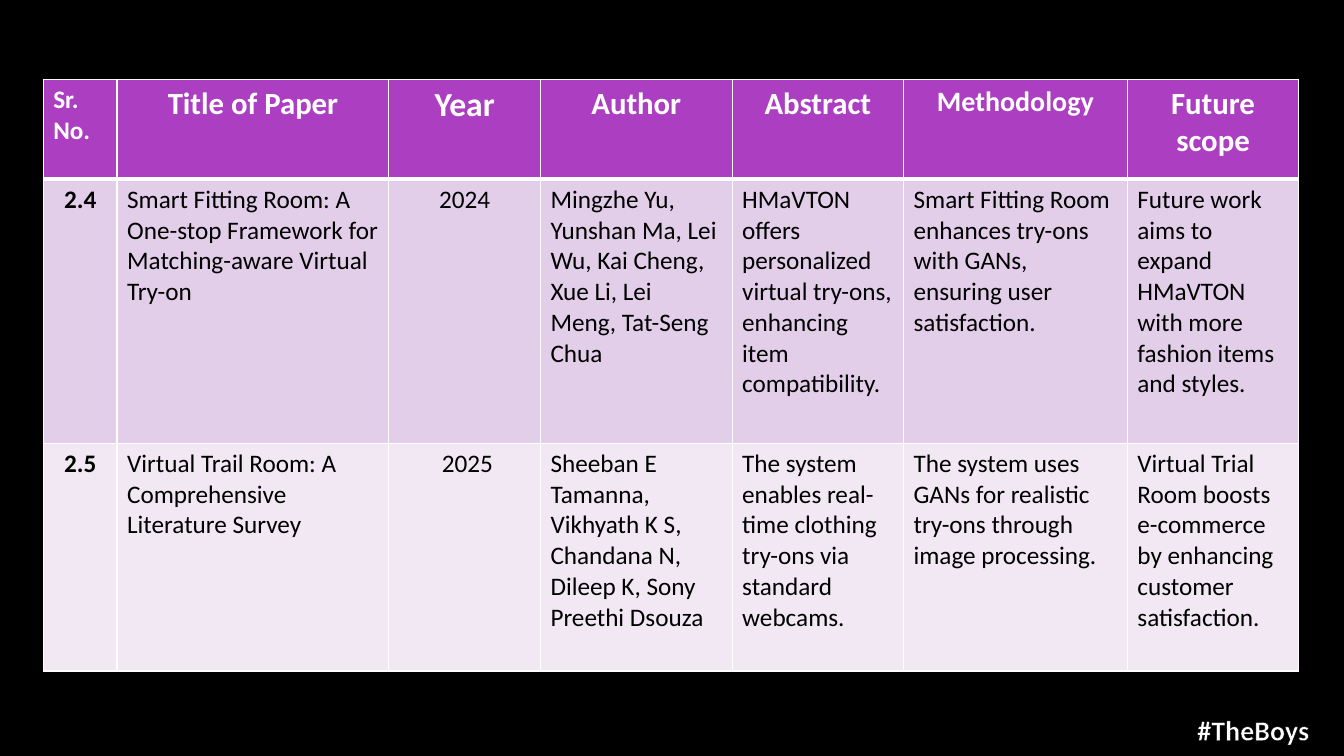
import dataclasses

import lxml.etree
import pptx
import pptx.dml.color
import pptx.enum.text
import pptx.oxml.ns
import pptx.util

Cm = pptx.util.Cm
Pt = pptx.util.Pt
ALIGN = pptx.enum.text.PP_ALIGN
FONT = "Calibri"
WHITE, BLACK, PURPLE = "FFFFFF", "000000", "AC3EC1"


@dataclasses.dataclass
class Column:
    title: str
    size: int
    width: float
    center: bool = False


@dataclasses.dataclass
class Row:
    height: float
    fill: str
    texts: list[str]


COLUMNS = [
    Column("Sr.\nNo.", 18, 1.86, True),
    Column("Title of Paper", 22, 6.85),
    Column("Year", 24, 3.82, True),
    Column("Author", 22, 4.83),
    Column("Abstract", 22, 4.32),
    Column("Methodology", 20, 5.64),
    Column("Future scope", 22, 4.32),
]
HEAD = 2.51
ROWS = [
    Row(6.65, "E3CEE9", [
        "2.4",
        "Smart Fitting Room: A One-stop Framework for Matching-aware Virtual Try-on",
        "2024",
        "Mingzhe Yu, Yunshan Ma, Lei Wu, Kai Cheng, Xue Li, Lei Meng, Tat-Seng Chua",
        "HMaVTON offers personalized virtual try-ons, enhancing item compatibility.",
        "Smart Fitting Room enhances try-ons with GANs, ensuring user satisfaction.",
        "Future work aims to expand HMaVTON with more fashion items and styles.",
    ]),
    Row(5.74, "F1E8F4", [
        "2.5",
        "Virtual Trail Room: A Comprehensive Literature Survey",
        " 2025",
        "Sheeban E Tamanna, Vikhyath K S, Chandana N, Dileep K, Sony Preethi Dsouza",
        "The system enables real-time clothing try-ons via standard webcams.",
        "The system uses GANs for realistic try-ons through image processing.",
        "Virtual Trial Room boosts e-commerce by enhancing customer satisfaction.",
    ]),
]


def color(code: str) -> pptx.dml.color.RGBColor:
    return pptx.dml.color.RGBColor.from_string(code)


def write(frame, text: str, size: int, ink: str, bold: bool, center: bool) -> None:
    frame.text = text
    for para in frame.paragraphs:
        para.alignment = ALIGN.CENTER if center else ALIGN.LEFT
        for run in para.runs:
            run.font.name = FONT
            run.font.size = Pt(size)
            run.font.bold = bold
            run.font.color.rgb = color(ink)


def stroke(tag: str, width: float, code: str) -> lxml.etree._Element:
    """Make a solid line element for a cell border or a text outline."""
    qn = pptx.oxml.ns.qn
    line = lxml.etree.Element(qn(tag), w=str(int(Pt(width))))
    fill = lxml.etree.SubElement(line, qn("a:solidFill"))
    lxml.etree.SubElement(fill, qn("a:srgbClr"), val=code)
    return line


def paint(cell, fill: str, top: float, bottom: float) -> None:
    """Border the cell in white, then fill it."""
    props = cell._tc.get_or_add_tcPr()
    for side, width in zip("LRTB", (1, 1, top, bottom)):
        props.append(stroke(f"a:ln{side}", width, WHITE))
    cell.fill.solid()
    cell.fill.fore_color.rgb = color(fill)


def add_papers(slide) -> None:
    heights = [HEAD] + [row.height for row in ROWS]
    wide = sum(col.width for col in COLUMNS)
    table = slide.shapes.add_table(
        len(heights), len(COLUMNS), Cm(1.09), Cm(2.01), Cm(wide), Cm(sum(heights))
    ).table
    for line, height in zip(table.rows, heights):
        line.height = Cm(height)
    for x, col in enumerate(COLUMNS):
        table.columns[x].width = Cm(col.width)
        cell = table.cell(0, x)
        paint(cell, PURPLE, 1, 3)
        write(cell.text_frame, col.title, col.size, WHITE, True, x > 0)
        for y, row in enumerate(ROWS, 1):
            cell = table.cell(y, x)
            paint(cell, row.fill, 3 if y == 1 else 1, 1)
            write(cell.text_frame, row.texts[x], 18, BLACK, x == 0, col.center)


def add_tag(slide) -> None:
    box = slide.shapes.add_textbox(Cm(29.54), Cm(17.83), Cm(4.09), Cm(1.11))
    frame = box.text_frame
    frame.word_wrap = True
    frame.auto_size = pptx.enum.text.MSO_AUTO_SIZE.SHAPE_TO_FIT_TEXT
    write(frame, "#TheBoys", 20, WHITE, True, True)
    run = frame.paragraphs[0].runs[0]
    run._r.get_or_add_rPr().insert(0, stroke("a:ln", 0.75, BLACK))


def main() -> None:
    deck = pptx.Presentation()
    deck.slide_width, deck.slide_height = Cm(33.87), Cm(19.05)
    slide = deck.slides.add_slide(deck.slide_layouts[6])
    slide.background.fill.solid()
    slide.background.fill.fore_color.rgb = color(BLACK)
    add_papers(slide)
    add_tag(slide)
    deck.save("out.pptx")


if __name__ == "__main__":
    main()
